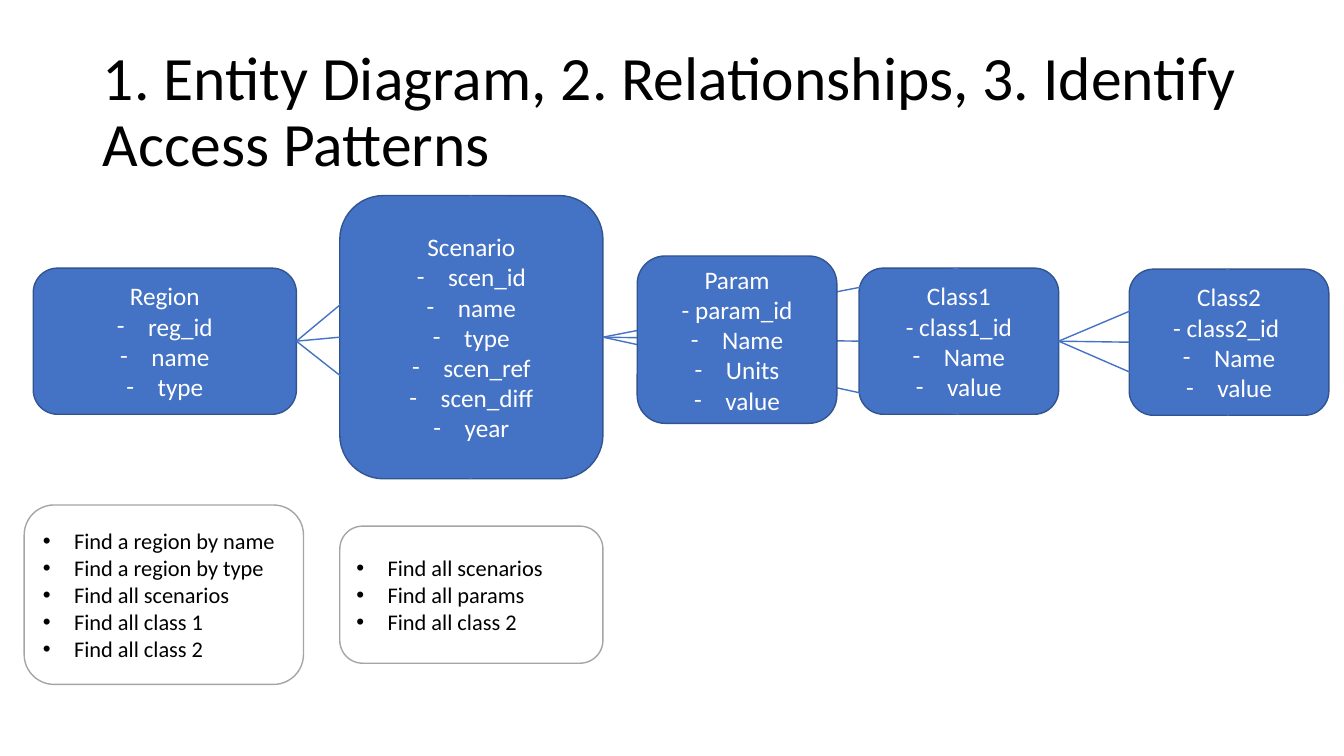
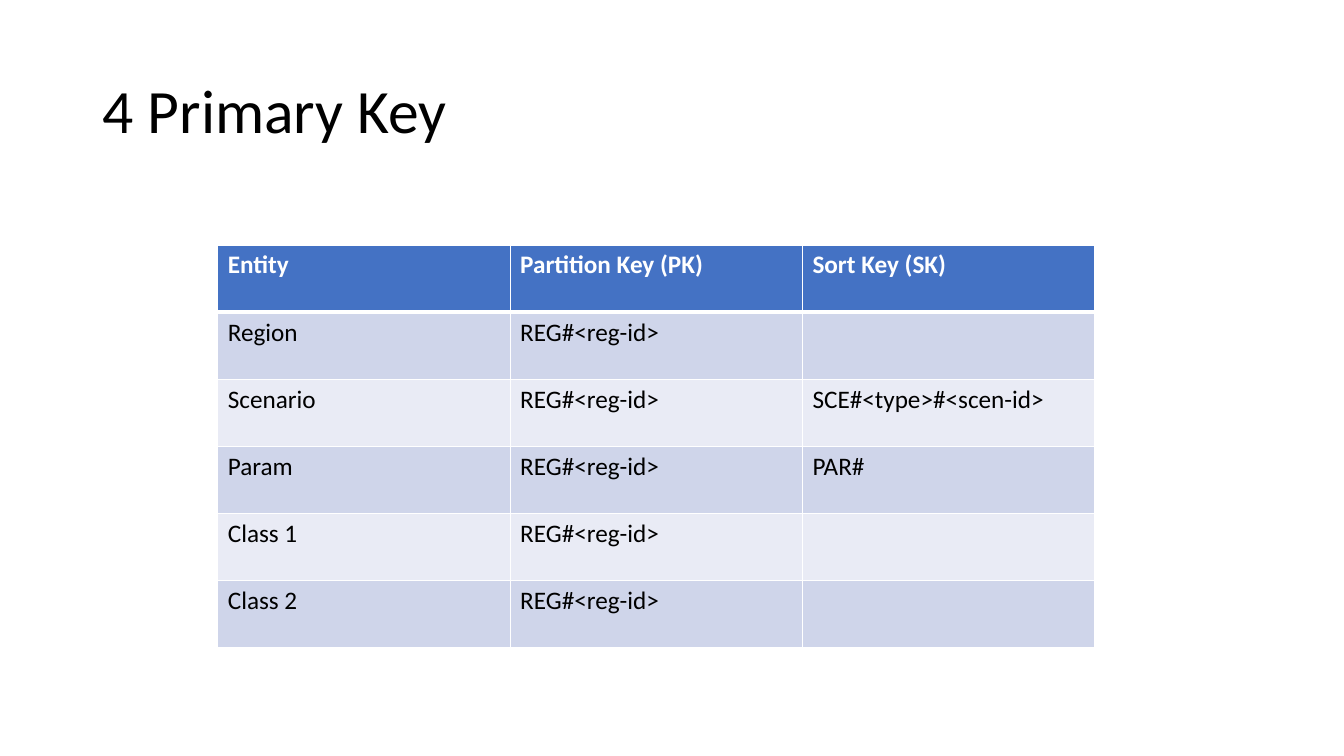
"""Build a two-slide deck on entities, access patterns and primary keys."""
from lxml import etree
from pptx import Presentation
from pptx import util as u
from pptx.dml.color import RGBColor
from pptx.enum import shapes, text
from pptx.oxml import ns

TOP, LEFT, BOTTOM, RIGHT = range(4)


class Deck:
    """Hold the style and the current slide."""

    colors = {"blue": "4472C4", "edge": "325491", "gray": "A5A5A5",
              "white": "FFFFFF", "black": "000000",
              "band": "CFD5EA", "light": "E9EBF5"}
    font_name = "Calibri"

    def __init__(self):
        self.presentation = Presentation()
        self.presentation.slide_width = u.Inches(13.33)
        self.presentation.slide_height = u.Inches(7.5)
        self.slide = None

    def color(self, name):
        return RGBColor.from_string(self.colors[name])

    def style(self, paragraph, size, color, bold=False):
        font = paragraph.font
        font.name, font.size, font.bold = self.font_name, u.Pt(size), bold
        font.color.rgb = self.color(color)

    def bullet(self, paragraph, character):
        properties = paragraph._p.get_or_add_pPr()
        indent = u.Inches(0.31)
        properties.set("marL", str(indent))
        properties.set("indent", str(-indent))
        typeface = etree.Element(ns.qn("a:buFont"), typeface="Arial" if character == "•" else self.font_name)
        mark = etree.Element(ns.qn("a:buChar"), char=character)
        properties.insert(0, typeface)
        properties.insert(1, mark)

    def add_slide(self, title):
        self.slide = self.presentation.slides.add_slide(self.presentation.slide_layouts[5])
        shape = self.slide.shapes.title
        shape.left, shape.top = u.Inches(0.92), u.Inches(0.4)
        shape.width, shape.height = u.Inches(11.5), u.Inches(1.45)
        frame = shape.text_frame
        frame.text = title
        frame.auto_size = text.MSO_AUTO_SIZE.NONE
        frame.vertical_anchor = text.MSO_ANCHOR.MIDDLE
        paragraph = frame.paragraphs[0]
        paragraph.alignment = text.PP_ALIGN.LEFT
        paragraph.line_spacing = 0.9
        self.style(paragraph, 44, "black")

    def add_box(self, bounds, lines, fill, edge, size, color, align):
        shape = self.slide.shapes.add_shape(
            shapes.MSO_SHAPE.ROUNDED_RECTANGLE, *map(u.Inches, bounds))
        shape.shadow.inherit = False
        shape.fill.solid()
        shape.fill.fore_color.rgb = self.color(fill)
        shape.line.color.rgb = self.color(edge)
        shape.line.width = u.Pt(1)
        frame = shape.text_frame
        frame.word_wrap = True
        frame.vertical_anchor = text.MSO_ANCHOR.MIDDLE
        frame.text = "\n".join(line for _, line in lines)
        for paragraph, (mark, _) in zip(frame.paragraphs, lines):
            paragraph.alignment = align
            self.style(paragraph, size, color)
            if mark:
                self.bullet(paragraph, mark)
        return shape

    def add_entity(self, bounds, heading, fields):
        lines = [("", line) for line in heading] + [("-", field) for field in fields]
        return self.add_box(bounds, lines, "blue", "edge", 18, "white", text.PP_ALIGN.CENTER)

    def add_patterns(self, bounds, patterns):
        lines = [("•", pattern) for pattern in patterns]
        return self.add_box(bounds, lines, "white", "gray", 16, "black", text.PP_ALIGN.LEFT)

    def add_fan(self, source, target):
        for side in (LEFT, BOTTOM, TOP):
            connector = self.slide.shapes.add_connector(shapes.MSO_CONNECTOR.STRAIGHT, 0, 0, 0, 0)
            connector.begin_connect(source, RIGHT)
            connector.end_connect(target, side)
            connector.line.color.rgb = self.color("blue")
            connector.line.width = u.Pt(1)
            etree.SubElement(connector._element.spPr, ns.qn("a:effectLst"))

    def border(self, cell, side, width):
        properties = cell._tc.get_or_add_tcPr()
        line = etree.Element(ns.qn(f"a:{side}"), w=str(u.Pt(width)))
        fill = etree.SubElement(line, ns.qn("a:solidFill"))
        etree.SubElement(fill, ns.qn("a:srgbClr"), val=self.colors["white"])
        properties.insert(len(properties) - 1, line)

    def add_table(self, bounds, rows):
        table = self.slide.shapes.add_table(
            len(rows), len(rows[0]), *map(u.Inches, bounds)).table
        for row_index, row in enumerate(rows):
            header = row_index == 0
            fill = "blue" if header else ("light", "band")[row_index % 2]
            widths = {"lnL": 1, "lnR": 1, "lnT": 3 if row_index == 1 else 1,
                      "lnB": 3 if header else 1}
            for column_index, value in enumerate(row):
                cell = table.cell(row_index, column_index)
                cell.text = value
                self.style(cell.text_frame.paragraphs[0], 18,
                           "white" if header else "black", header)
                cell.fill.solid()
                cell.fill.fore_color.rgb = self.color(fill)
                for side, width in widths.items():
                    self.border(cell, side, width)


def main():
    deck = Deck()
    deck.add_slide("1. Entity Diagram, 2. Relationships, 3. Identify Access Patterns")
    region = deck.add_entity((0.33, 2.66, 2.61, 1.45), ["Region"], ["reg_id", "name", "type"])
    scenario = deck.add_entity(
        (3.37, 1.94, 2.61, 2.81), ["Scenario"],
        ["scen_id", "name", "type", "scen_ref", "scen_diff", "year"])
    class1 = deck.add_entity(
        (8.52, 2.66, 1.98, 1.45), ["Class1", "- class1_id"], ["Name", "value"])
    class2 = deck.add_entity(
        (11.2, 2.67, 1.98, 1.45), ["Class2", "- class2_id "], ["Name", "value"])
    for source, target in ((region, scenario), (scenario, class1), (class1, class2)):
        deck.add_fan(source, target)
    deck.add_patterns((0.24, 5.01, 2.77, 1.78), [
        "Find a region by name", "Find a region by type", "Find all scenarios",
        "Find all class 1", "Find all class 2"])
    deck.add_patterns((3.37, 5.22, 2.61, 1.36), [
        "Find all scenarios", "Find all params", "Find all class 2"])
    deck.add_entity(
        (6.32, 2.54, 1.98, 1.66), ["Param", "- param_id"], ["Name", "Units", "value"])

    deck.add_slide("4 Primary Key")
    sort_keys = {"Region": "", "Scenario": "SCE#<type>#<scen-id>", "Param": "PAR#",
                 "Class 1": "", "Class 2": ""}
    rows = [("Entity", "Partition Key (PK)", "Sort Key (SK)")]
    rows += [(entity, "REG#<reg-id>", key) for entity, key in sort_keys.items()]
    deck.add_table((2.16, 2.43, 8.7, 4), rows)
    deck.presentation.save("out.pptx")


if __name__ == "__main__":
    main()
